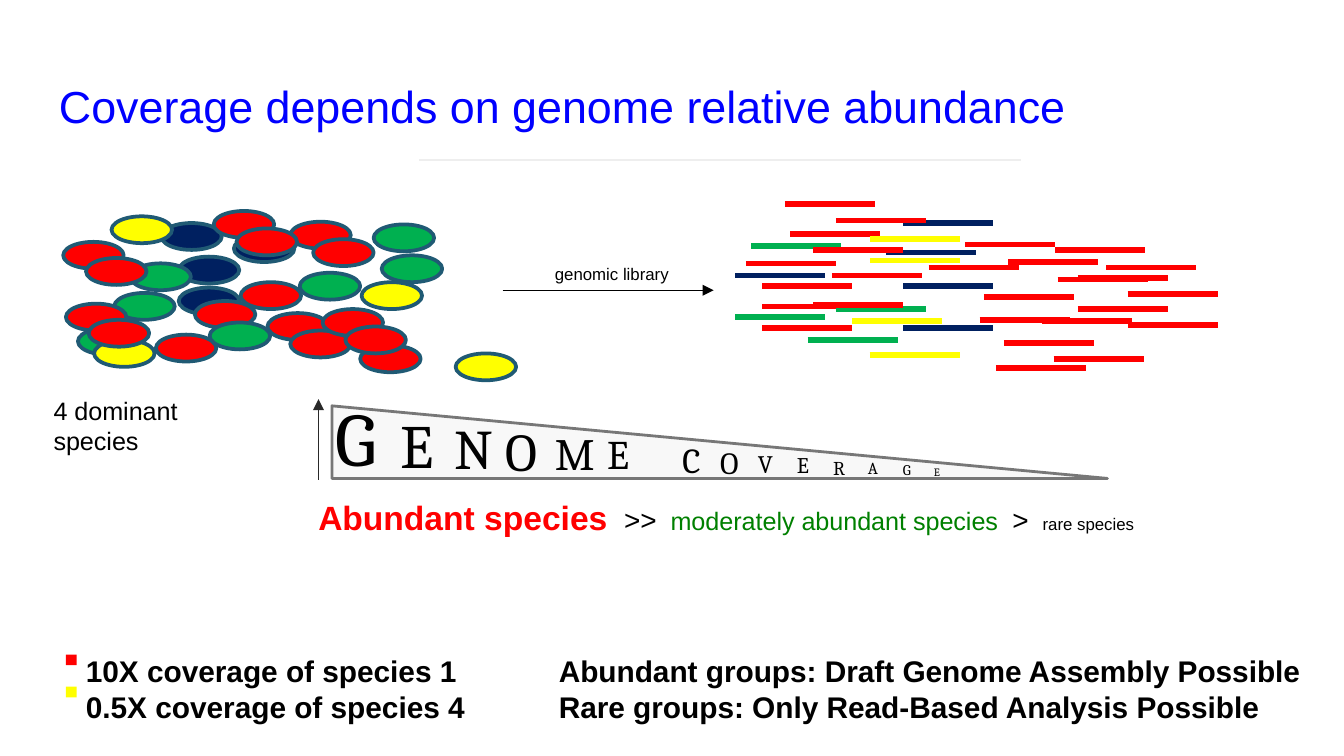
from pptx import Presentation
from pptx.dml.color import RGBColor
from pptx.enum.shapes import MSO_CONNECTOR, MSO_SHAPE
from pptx.enum.text import MSO_ANCHOR
from pptx.oxml.ns import qn
from pptx.util import Inches, Pt
from lxml.etree import SubElement

COLS, ROWS = 100, 56.25
CELL = Inches(0.1)
COLORS = {
    "red": "FF0000", "green": "00B050", "yellow": "FFFF00", "navy": "002060",
    "rim": "205A74", "blue": "0000FF", "leaf": "008000", "black": "000000",
    "ink": "292929", "rule": "EEEEEE", "pale": "F8F8F8", "gray": "777777",
}
CELLS = [
    ("navy", [(8, 1.6), (9.3, 4.1), (13.4, 2.5), (9.3, 6.4)]),
    ("red", [(10.5, 7.4), (22.8, 10.7), (15.9, 8.3), (13.9, 6), (7.6, 9.9)]),
    ("green", [(4.5, 6.8), (5.7, 4.6), (24.4, 4), (1.8, 9.4)]),
    ("yellow", [(3, 10.3), (29.9, 11.3), (4.3, 1.1), (22.9, 6)]),
    ("red", [(17.6, 9.6), (20, 8), (21.7, 9.3), (17.6, 1.5), (19.3, 2.8), (0.7, 3),
             (2.4, 4.2), (0.9, 7.6), (2.6, 8.8), (11.9, 0.7), (13.6, 2)]),
    ("green", [(18.3, 5.3), (11.6, 9), (23.8, 1.7)]),
]
READS = [
    ("red", [(1.5, 4.6), (2.7, 6.3), (2.7, 7.8), (7.9, 5.5), (4.8, 2.4), (2.7, 9.4)]),
    ("green", [(0.7, 8.6), (6.1, 10.3), (1.9, 3.3), (8.2, 8)]),
    ("yellow", [(9.4, 8.9), (10.7, 4.4), (10.7, 11.4), (10.7, 2.8)]),
    ("navy", [(11.9, 3.8), (0.7, 5.5), (13.2, 1.6), (13.2, 6.3), (13.2, 9.4)]),
    ("red", [(6.5, 7.7), (17.8, 3.2), (19.2, 7.1), (15.1, 4.9), (20.1, 12.4),
             (23.5, 8.9), (18.9, 8.8), (28.3, 4.9), (24.5, 3.6), (6.5, 3.6),
             (29.9, 9.2), (26.2, 8), (29.9, 6.9), (26.2, 5.7), (24.7, 5.8),
             (21, 4.5), (24.4, 11.7), (20.7, 10.5), (8.2, 1.4), (4.4, 0.2)]),
]
LETTERS = [
    ("G", 40.5, 2, 0.6, 5.4, 8.8), ("E", 33, 6.8, 1.8, 4.6, 7.4),
    ("N", 30, 10.8, 2.3, 4.8, 6.8), ("O", 28.5, 14.6, 2.6, 4.6, 6.5),
    ("M", 24, 18.3, 3.2, 4.7, 5.7), ("C", 18.8, 27.8, 4.1, 3.4, 4.7),
    ("E", 21.8, 22.2, 3.4, 3.7, 5.3), ("O", 16.5, 30.6, 4.5, 3.5, 4.3),
    ("V", 13.5, 33.4, 4.9, 3.1, 3.7), ("A", 9, 41.6, 5.6, 2.8, 2.8),
    ("R", 10.5, 39, 5.4, 2.9, 3.1), ("E", 12, 36.3, 5.1, 2.9, 3.4),
    ("G", 7.9, 44.2, 5.8, 2.6, 2.6), ("E", 6, 46.5, 6.1, 2.5, 2.3),
]
ABUNDANCE = [
    ("Abundant species ", 18, "red", True), (" ", 13.5, "red", False),
    (">>", 15, "black", False), ("  ", 13.5, "black", False),
    ("moderately abundant species  ", 13.5, "leaf", False),
    (">", 15, "black", False), ("  ", 13.5, "black", False),
    ("rare species", 9, "black", False),
]


def grid(*values):
    """Turn grid counts into lengths."""
    return [int(v * CELL) for v in values]


def inside(box, x, y):
    """Turn a place inside a box into a place on the slide."""
    return box[0] + x, box[1] + y


def add_text(s, box, paragraphs, font="Arial", wrap=True, **frame):
    """Write paragraphs of (text, size, colour, bold) runs in a box."""
    tf = s.shapes.add_textbox(*grid(*box)).text_frame
    for name, value in {"word_wrap": wrap, **frame}.items():
        setattr(tf, name, value)
    for i, runs in enumerate(paragraphs):
        p = tf.add_paragraph() if i else tf.paragraphs[0]
        for text, size, color, bold in runs:
            r = p.add_run()
            r.text = text
            for name, value in {"name": font, "size": Pt(size), "bold": bold}.items():
                setattr(r.font, name, value)
            r.font.color.rgb = RGBColor.from_string(COLORS[color])


def add_shape(s, kind, box, fill, line=None, width=0):
    """Draw a filled preset shape, outlined if a line colour is given."""
    sp = s.shapes.add_shape(kind, *grid(*box))
    sp.shadow.inherit = False
    sp.fill.solid()
    sp.fill.fore_color.rgb = RGBColor.from_string(COLORS[fill])
    if line:
        sp.line.color.rgb = RGBColor.from_string(COLORS[line])
        sp.line.width = Pt(width)
    else:
        sp.line.fill.background()


def add_line(s, start, end, color, width=0.75, arrow=False):
    """Draw a straight line, with an arrowhead at its end if asked."""
    c = s.shapes.add_connector(MSO_CONNECTOR.STRAIGHT, *grid(*start, *end))
    c.line.color.rgb = RGBColor.from_string(COLORS[color])
    c.line.width = Pt(width)
    if arrow:
        SubElement(c.line._get_or_add_ln(), qn("a:tailEnd"), type="triangle")
    SubElement(c._element.spPr, qn("a:effectLst"))


def add_title(s, box):
    """Write the title and the faint rule beneath it."""
    text = "Coverage depends on genome relative abundance"
    add_text(s, box, [[(text, 24, "blue", False)]],
             vertical_anchor=MSO_ANCHOR.MIDDLE)
    add_line(s, inside(box, 27.8, 7.2), inside(box, 72.6, 7.2), "rule")


def add_library_arrow(s, box):
    """Draw the labelled arrow from cells to reads."""
    x, y, w, h = box
    add_line(s, (x, y + h), (x + w, y + h), "black", arrow=True)
    add_text(s, (*inside(box, 2.9, -0.1), 10.5, 1.9),
             [[("genomic library", 9, "black", False)]], wrap=False)


def add_cells(s, box):
    """Scatter the cells of the community, coloured by species."""
    for color, places in CELLS:
        for place in places:
            add_shape(s, MSO_SHAPE.OVAL, (*inside(box, *place), 4.5, 2),
                      color, "rim", 2)


def add_reads(s, box):
    """Scatter the sequence reads, coloured by species."""
    for color, places in READS:
        for x, y in places:
            add_line(s, inside(box, x, y), inside(box, x + 6.7, y), color, 3)


def add_coverage(s, box):
    """Draw the coverage wedge, its shrinking letters and the abundance scale."""
    add_text(s, (*inside(box, 0.7, 8.5), 68, 4.6), [ABUNDANCE])
    add_shape(s, MSO_SHAPE.RIGHT_TRIANGLE, (*inside(box, 2.7, 2.2), 57.7, 5.4),
              "pale", "gray", 1.5)
    for letter, size, x, y, w, h in LETTERS:
        add_text(s, (*inside(box, x, y), w, h),
                 [[(letter, size, "black", False)]], "Cambria", False)
    add_line(s, inside(box, 1.7, 7.7), inside(box, 1.7, 1.7), "ink", arrow=True)


def add_summary(s, box):
    """Write the coverage key and the conclusions side by side."""
    columns = [
        (0.5, 30.8, ["10X coverage of species 1", "0.5X coverage of species 4"]),
        (35.7, 57.6, ["Abundant groups: Draft Genome Assembly Possible",
                      "Rare groups: Only Read-Based Analysis Possible"]),
    ]
    for x, w, lines in columns:
        add_text(s, (*inside(box, x, 0), w, box[3]),
                 [[(line, 16, "black", True)] for line in lines], wrap=False)
    for i, color in enumerate(["red", "yellow"]):
        add_shape(s, MSO_SHAPE.RECTANGLE,
                  (*inside(box, 0, 0.6 + 2.4 * i), 0.8, 0.8), color)


def main():
    """Build the slide and save it."""
    prs = Presentation()
    prs.slide_width, prs.slide_height = grid(COLS, ROWS)
    s = prs.slides.add_slide(prs.slide_layouts[6])
    add_library_arrow(s, (37.4, 19.2, 15.7, 2.4))
    add_summary(s, (4.9, 48.1, 93.3, 4.7))
    add_text(s, (3, 28.9, 17.5, 6.7), [[("4 dominant species", 13.5, "black", False)]])
    add_coverage(s, (22, 28, 68.7, 13.1))
    add_reads(s, (54, 15, 37, 13))
    add_cells(s, (4, 15, 35, 14))
    add_title(s, (3.4, 4.7, 93.2, 6.3))
    prs.save("out.pptx")


if __name__ == "__main__":
    main()
